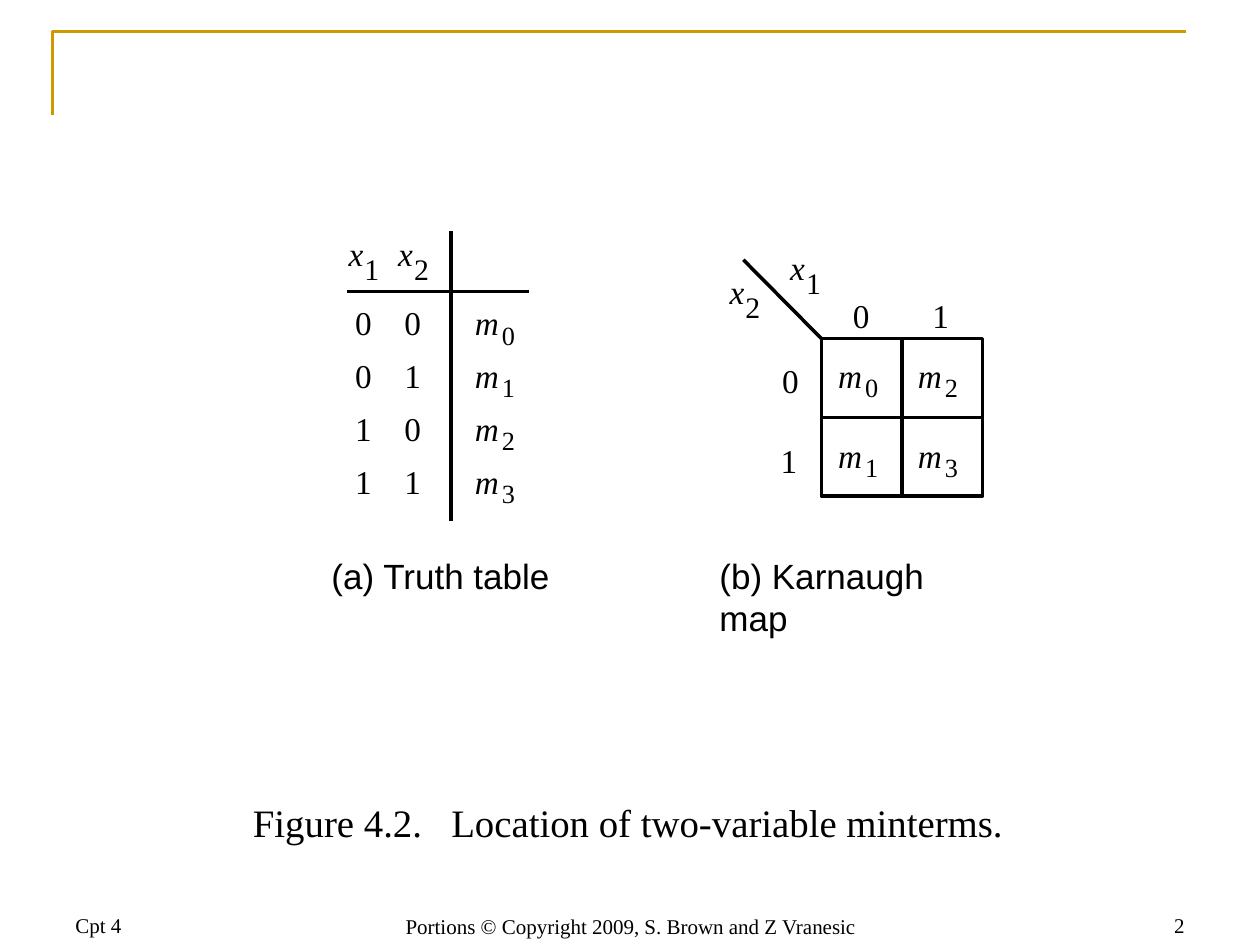
from lxml import etree
from pptx import Presentation
from pptx import util as u
from pptx.dml.color import RGBColor
from pptx.enum import shapes, text
from pptx.oxml import ns

BLACK = RGBColor(0x00, 0x00, 0x00)
WHITE = RGBColor(0xFF, 0xFF, 0xFF)
GOLD = RGBColor(0xCC, 0x99, 0x00)
SERIF = "Times New Roman"
SANS = "Arial"
LEFT, CENTER, RIGHT = text.PP_ALIGN.LEFT, text.PP_ALIGN.CENTER, text.PP_ALIGN.RIGHT


class Figure:
    stroke = 2
    symbol_size = 19

    def __init__(self, slide):
        self.slide = slide

    def format_run(self, run, size, font=SERIF, italic=False):
        run.font.size = u.Pt(size)
        run.font.name = font
        run.font.italic = italic
        run.font.color.rgb = BLACK

    def block(self, words, left, top, width, height, size, align):
        box = self.slide.shapes.add_textbox(*map(u.Pt, (left, top, width, height)))
        frame = box.text_frame
        frame.word_wrap = True
        frame.text = words
        paragraph = frame.paragraphs[0]
        paragraph.alignment = align
        self.format_run(paragraph.runs[0], size)
        return frame

    def label(self, words, left, top, width, height, size=symbol_size, font=SERIF, italic=False):
        box = self.slide.shapes.add_textbox(*map(u.Pt, (left, top, width, height)))
        frame = box.text_frame
        frame.margin_left = frame.margin_right = frame.margin_top = frame.margin_bottom = 0
        frame.word_wrap = False
        frame.auto_size = text.MSO_AUTO_SIZE.SHAPE_TO_FIT_TEXT
        frame.text = words
        self.format_run(frame.paragraphs[0].runs[0], size, font, italic)

    def footer(self, words, left, top, width, align):
        frame = self.block(words, left, top, width, 36, 12, align)
        frame.vertical_anchor = text.MSO_ANCHOR.BOTTOM

    def caption(self, number, title, left, top, width, height, size, gap):
        paragraph = self.block(number, left, top, width, height, size, CENTER).paragraphs[0]
        paragraph.line_spacing = 0.9
        for words in (" ", title):
            run = paragraph.add_run()
            run.text = words
            self.format_run(run, size)
        paragraph.runs[1].font._element.set("spc", str(gap * 100))

    def digit(self, value, left, top):
        self.label(value, left, top, 15.8, 23)

    def variable(self, index, left, top):
        self.label("x", left, top, 14.4, 23, italic=True)
        self.label(index, left + 9, top + 10, 14.4, 20.2, 17)

    def minterm(self, index, left, top):
        self.label("m", left, top, 21.6, 23, italic=True)
        self.label(index, left + 15.4, top + 9.4, 12.2, 18, 15)

    def line(self, x1, y1, x2, y2):
        rule = self.slide.shapes.add_connector(
            shapes.MSO_CONNECTOR.STRAIGHT, *map(u.Pt, (x1, y1, x2, y2)))
        rule.line.color.rgb = BLACK
        rule.line.width = u.Pt(self.stroke)
        etree.SubElement(rule._element.spPr, ns.qn("a:effectLst"))
        return rule

    def square(self, left, top, width, height):
        outline = self.slide.shapes.add_shape(
            shapes.MSO_SHAPE.RECTANGLE, *map(u.Pt, (left, top, width, height)))
        outline.shadow.inherit = False
        outline.fill.solid()
        outline.fill.fore_color.rgb = WHITE
        outline.line.color.rgb = BLACK
        outline.line.width = u.Pt(self.stroke)
        return outline

    def corner(self, left, top, right, bottom):
        builder = self.slide.shapes.build_freeform(u.Pt(left), u.Pt(bottom))
        builder.add_line_segments(
            [(u.Pt(left), u.Pt(top)), (u.Pt(right), u.Pt(top))], close=False)
        border = builder.convert_to_shape()
        border.shadow.inherit = False
        border.fill.background()
        border.line.color.rgb = GOLD
        border.line.width = u.Pt(1.5)


def draw_truth_table(figure):
    first, second, result = 203, 231.1, 271.4
    figure.line(302.4, 166.5, 198, 166.5)
    figure.line(257.8, 298, 257.8, 131.8)
    figure.variable("1", 199.2, 133.2)
    figure.variable("2", 227.6, 133.2)
    for row, bits in enumerate(("00", "01", "10", "11")):
        top = 172.8 + 30.24 * row
        figure.digit(bits[0], first, top)
        figure.digit(bits[1], second, top)
        figure.minterm(str(row), result, top)
    figure.label("(a) Truth table", 189.4, 316.8, 131.8, 23.8, 20, SANS)


def draw_karnaugh_map(figure):
    left, top, step = 469.4, 193.5, 45.5
    grid = figure.square(left, top, 92, 90)
    for start, end in ((3, 1), (2, 0)):
        divider = figure.line(left, top, left, top)
        divider.begin_connect(grid, start)
        divider.end_connect(grid, end)
    figure.line(424.8, 148.5, left, top)
    figure.variable("2", 416.9, 154.8)
    figure.variable("1", 451.6, 141.1)
    for x1 in range(2):
        figure.digit(str(x1), 487.3 + step * x1, 168.5)
        for x2 in range(2):
            figure.minterm(str(2 * x1 + x2), 479 + step * x1, 203 + step * x2)
    for x2 in range(2):
        figure.digit(str(x2), 447 - x2, 206 + step * x2)
    figure.label("(b) Karnaugh map", 411.1, 316.8, 161.3, 23.8, 20, SANS)


def main():
    deck = Presentation()
    deck.slide_width, deck.slide_height = u.Pt(720), u.Pt(540)
    figure = Figure(deck.slides.add_slide(deck.slide_layouts[6]))
    figure.corner(30, 18, 678, 66)
    figure.footer("Cpt 4", 36, 503.5, 168, LEFT)
    figure.footer("Portions © Copyright 2009, S. Brown and Z Vranesic", 203.5, 504, 314, CENTER)
    figure.footer("2", 516, 503.5, 168, RIGHT)
    draw_truth_table(figure)
    draw_karnaugh_map(figure)
    figure.caption("Figure 4.2.", "Location of two-variable minterms.",
                   113, 455.8, 492, 36, 22.2, 11)
    deck.save("out.pptx")


if __name__ == "__main__":
    main()
